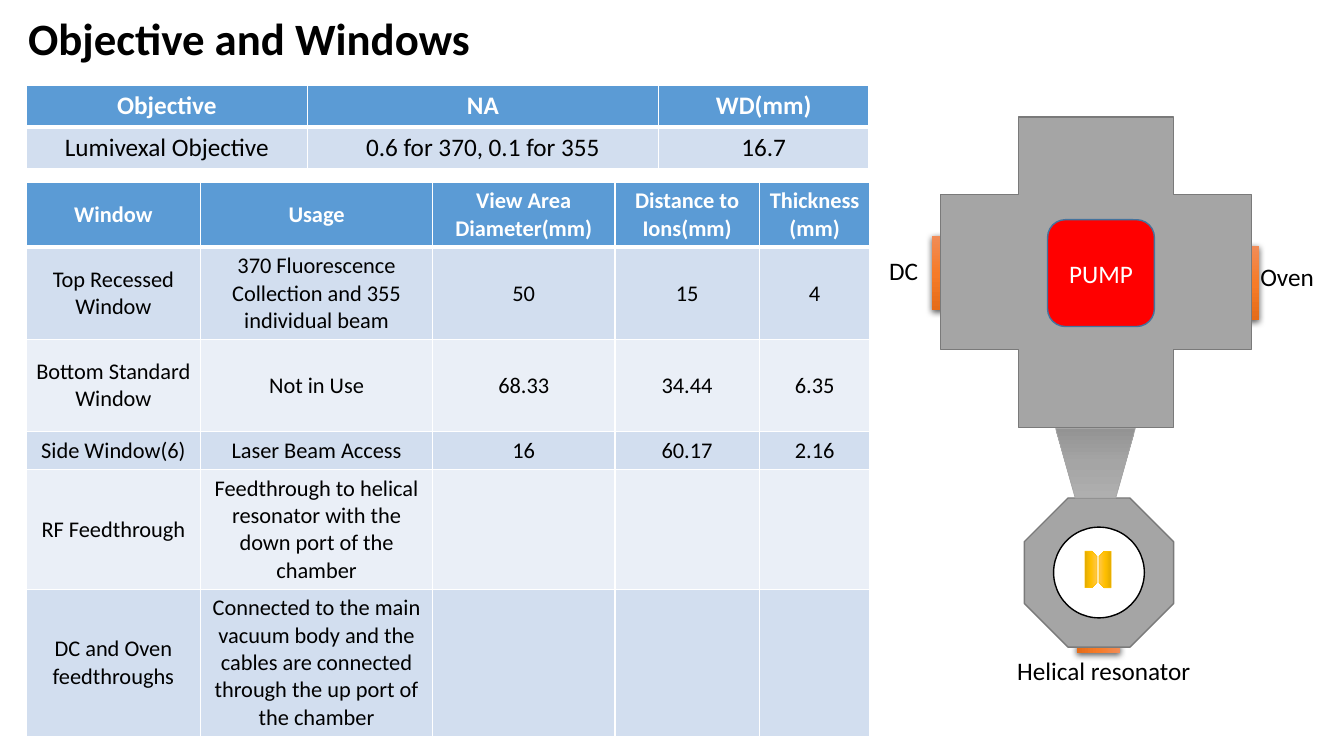
"""Build the slide on the objective and windows of the vacuum chamber."""
from copy import deepcopy
from pptx import Presentation
from pptx import util as u
from pptx.dml.color import RGBColor
from pptx.enum import shapes, text
from pptx.oxml import parse_xml
from pptx.oxml.ns import nsdecls, qn

THEME = {
    "font": "Calibri", "title": 32, "body": 18, "small": 16,
    "black": "000000", "white": "FFFFFF", "header": "5B9BD5",
    "bands": ["D2DEEF", "EAEFF7"], "steel": "A5A5A5", "edge": "7A7A7A",
    "red": "FF0000", "red_edge": "43739E", "gold_edge": "FFC000",
    "orange": ["F18C57", "F67B28", "E56C19"],
    "gold": ["FFC64B", "FFC000", "E3AB00"],
    "cone": ["AFAFAF", "A5A5A5", "939393"],
}
CENTER, LEFT, RIGHT = text.PP_ALIGN.CENTER, text.PP_ALIGN.LEFT, text.PP_ALIGN.RIGHT
KIND = shapes.MSO_SHAPE

deck = Presentation()
deck.slide_width, deck.slide_height = u.Inches(13.33), u.Inches(7.5)
slide = deck.slides.add_slide(deck.slide_layouts[6])


def write(frame, words, size, color, bold=False, align=CENTER):
    paragraph = frame.paragraphs[0]
    paragraph.alignment = align
    run = paragraph.add_run()
    run.text = words
    look = {"name": THEME["font"], "size": u.Pt(THEME[size]), "bold": bold}
    for key, value in look.items():
        setattr(run.font, key, value)
    run.font.color.rgb = RGBColor.from_string(THEME[color])


def draw(kind, box, fill, edge=None, width=1, turn=0, adjust=()):
    part = slide.shapes.add_shape(kind, *map(u.Inches, box))
    part.shadow.inherit = False
    part.rotation = turn
    for index, value in enumerate(adjust):
        part.adjustments[index] = value
    paint = THEME[fill]
    if isinstance(paint, list):
        part.fill.gradient()
        part.fill.gradient_angle = 270
        stops = part._element.spPr.find(".//" + qn("a:gsLst"))
        stops.append(deepcopy(stops[0]))
        for index, stop in enumerate(part.fill.gradient_stops):
            stop.position = index / 2
            stop.color.rgb = RGBColor.from_string(paint[index])
    else:
        part.fill.solid()
        part.fill.fore_color.rgb = RGBColor.from_string(paint)
    if edge:
        part.line.color.rgb = RGBColor.from_string(THEME[edge])
        part.line.width = u.Pt(width)
    else:
        part.line.fill.background()
    return part


windows = [
    ["Window", "Usage", "View Area Diameter(mm)", "Distance to Ions(mm)", "Thickness(mm)"],
    ["Top Recessed Window", "370 Fluorescence Collection and 355 individual beam", "50", "15", "4"],
    ["Bottom Standard Window", "Not in Use", "68.33", "34.44", "6.35"],
    ["Side Window(6)", "Laser Beam Access", "16", "60.17", "2.16"],
    ["RF Feedthrough", "Feedthrough to helical resonator with the down port of the chamber", "", "", ""],
    ["DC and Oven feedthroughs", "Connected to the main vacuum body and the cables are connected "
     "through the up port of the chamber", "", "", ""],
]
objectives = [
    ["Objective", "NA", "WD(mm)"],
    ["Lumivexal Objective", "0.6 for 370, 0.1 for 355", "16.7"],
]
for rows, top, widths, heights, size in [
    (windows, 1.81, [1.73, 2.3, 1.81, 1.43, 1.1], [0.64, 0.91, 0.91, 0.38, 1.18, 1.45], "small"),
    (objectives, 0.85, [2.79, 3.48, 2.09], [0.41, 0.41], "body"),
]:
    grid = slide.shapes.add_table(
        len(rows), len(widths), u.Inches(0.26), u.Inches(top),
        u.Inches(sum(widths)), u.Inches(sum(heights))).table
    for column, width in zip(grid.columns, widths):
        column.width = u.Inches(width)
    for r, (row, height) in enumerate(zip(rows, heights)):
        grid.rows[r].height = u.Inches(height)
        for c, words in enumerate(row):
            cell = grid.cell(r, c)
            cell.vertical_anchor = text.MSO_ANCHOR.MIDDLE
            for side in "LRTB":
                thick = (r == 0 and side == "B") or (r == 1 and side == "T")
                cell._tc.get_or_add_tcPr().append(parse_xml(
                    f'<a:ln{side} {nsdecls("a")} w="{u.Pt(3 if thick else 1)}"><a:solidFill>'
                    f'<a:srgbClr val="{THEME["white"]}"/></a:solidFill></a:ln{side}>'))
            cell.fill.solid()
            band = THEME["bands"][(r - 1) % 2] if r else THEME["header"]
            cell.fill.fore_color.rgb = RGBColor.from_string(band)
            if words:
                write(cell.text_frame, words, size, "black" if r else "white", bold=r == 0)

for box, turn in [((10.85, 6.22, 0.09, 0.43), 90),
                  ((12.34, 2.44, 0.15, 0.74), 0),
                  ((9.24, 2.34, 0.15, 0.74), 0)]:
    port = draw(KIND.RECTANGLE, box, "orange", turn=turn)
    port._element.spPr.find(qn("a:effectLst")).append(parse_xml(
        f'<a:outerShdw {nsdecls("a")} blurRad="{u.Pt(4.5)}" dist="{u.Pt(1.5)}" dir="5400000" '
        f'algn="ctr" rotWithShape="0"><a:srgbClr val="{THEME["black"]}">'
        '<a:alpha val="63000"/></a:srgbClr></a:outerShdw>'))

draw(KIND.OCTAGON, (10.16, 4.94, 1.48, 1.48), "steel", "edge")
draw(KIND.OVAL, (10.45, 5.23, 0.9, 0.9), "white", "black")
for left, turn in [(10.64, 90), (10.78, 270)]:
    draw(KIND.SNIP_2_SAME_RECTANGLE, (left, 5.59, 0.36, 0.12), "gold", "gold_edge", 0.5, turn, (0.417, 0))
draw(KIND.TRAPEZOID, (10.47, 4.25, 0.79, 0.69), "cone", "steel", 0.5, 180, (0.281,))
draw(KIND.CROSS, (9.33, 1.16, 3.08, 3.08), "steel", "edge")
pump = draw(KIND.ROUNDED_RECTANGLE, (10.39, 2.18, 1.06, 1.06), "red", "red_edge")
pump.text_frame.vertical_anchor = text.MSO_ANCHOR.MIDDLE
write(pump.text_frame, "PUMP", "body", "white")

for words, box, size, align, wrap in [
    ("Objective and Windows", (0.18, 0.06, 12.5, 0.64), "title", LEFT, True),
    ("DC", (8.72, 2.48, 0.58, 0.48), "body", LEFT, False),
    ("Oven", (12.3, 2.54, 0.83, 0.4), "body", RIGHT, True),
    ("Helical resonator", (9.99, 6.45, 1.94, 0.4), "body", LEFT, False),
]:
    label = slide.shapes.add_textbox(*map(u.Inches, box)).text_frame
    label.word_wrap = wrap
    write(label, words, size, "black", bold=size == "title", align=align)

deck.save("out.pptx")
